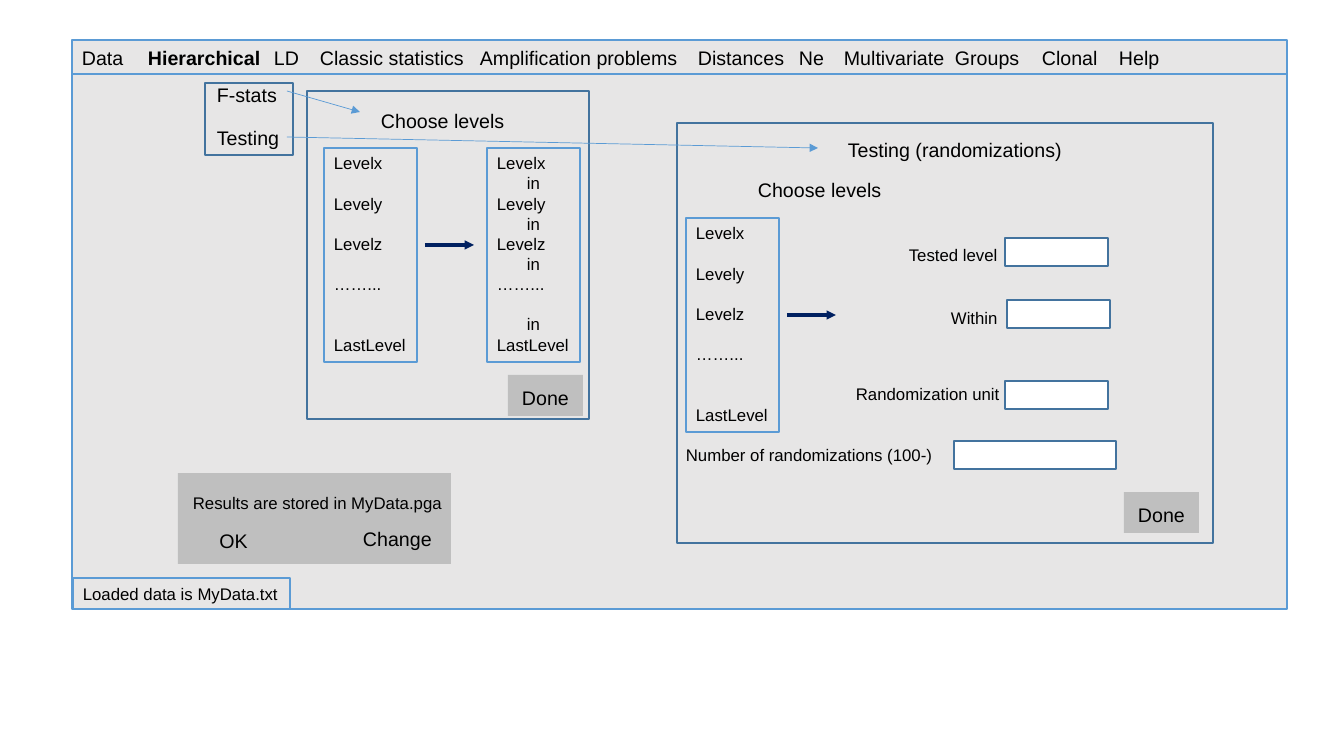
from dataclasses import dataclass
from typing import NamedTuple

from lxml.etree import SubElement
from pptx import Presentation
from pptx.dml.color import RGBColor
from pptx.enum.shapes import MSO_CONNECTOR as Connector, MSO_SHAPE as Preset
from pptx.enum.text import MSO_ANCHOR as Anchor, MSO_AUTO_SIZE as AutoSize, PP_ALIGN as Align
from pptx.oxml.ns import qn
from pptx.util import Emu, Pt

PX = 914400 / 100.8


@dataclass(frozen=True)
class Theme:
    """Colours, type sizes and line weights of the mock-up."""
    font: str = "Arial"
    ink: str = "000000"
    window: str = "E7E6E6"
    accent: str = "5B9BD5"
    frame: str = "43739E"
    button: str = "BFBFBF"
    field: str = "FFFFFF"
    move: str = "002060"
    large: float = 14
    small: float = 12
    row: float = 14.4


class Box(NamedTuple):
    """A rectangle in pixels."""
    left: int
    top: int
    width: int
    height: int


class Label(NamedTuple):
    """A piece of free-standing text."""
    text: str
    box: Box
    size: float
    bold: bool = False


class Row(NamedTuple):
    """A list entry, with the number of empty rows above it."""
    text: str
    gap: int = 0
    align: Align = Align.LEFT


class Link(NamedTuple):
    """A straight line in pixels."""
    x1: int
    y1: int
    x2: int
    y2: int
    color: str
    weight: float
    arrow: bool = True


THEME = Theme()
deck = Presentation()
deck.slide_width, deck.slide_height = Emu(12192000), Emu(6858000)
slide = deck.slides.add_slide(deck.slide_layouts[6])


def px(value: float) -> Emu:
    """Turn pixels into EMU."""
    return Emu(round(value * PX))


def style(paragraph, size: float, bold: bool = False) -> None:
    """Format the runs of a paragraph."""
    for run in paragraph.runs:
        run.font.name, run.font.size, run.font.bold = THEME.font, Pt(size), bold
        run.font.color.rgb = RGBColor.from_string(THEME.ink)


def draw_box(box: Box, fill: str = "", line: str = "", weight: float = 1):
    """Draw a rectangle; an empty colour means none."""
    shape = slide.shapes.add_shape(Preset.RECTANGLE, *map(px, box))
    shape.shadow.inherit = False
    if fill:
        shape.fill.solid()
        shape.fill.fore_color.rgb = RGBColor.from_string(fill)
    else:
        shape.fill.background()
    if line:
        shape.line.color.rgb = RGBColor.from_string(line)
        shape.line.width = Pt(weight)
    else:
        shape.line.fill.background()
    return shape


def draw_label(label: Label) -> None:
    """Draw text in a box that fits it."""
    frame = slide.shapes.add_textbox(*map(px, label.box)).text_frame
    frame.text = label.text
    frame.word_wrap = False
    frame.auto_size = AutoSize.SHAPE_TO_FIT_TEXT
    style(frame.paragraphs[0], label.size, label.bold)


def draw_button(text: str, left: int, top: int) -> None:
    """Draw a grey button with its caption."""
    frame = draw_box(Box(left, top, 75, 41), THEME.button).text_frame
    frame.text = text
    frame.word_wrap = False
    frame.vertical_anchor = Anchor.MIDDLE
    frame.margin_top, frame.margin_bottom = px(9), px(4)
    frame.paragraphs[0].alignment = Align.CENTER
    style(frame.paragraphs[0], THEME.large)


def draw_list(left: int, top: int, rows: list[Row]) -> None:
    """Draw a list of levels on a fixed row pitch."""
    frame = draw_box(Box(left, top, 93, 214), line=THEME.accent, weight=1.5).text_frame
    frame.text = "\n".join(row.text for row in rows)
    frame.word_wrap = False
    frame.vertical_anchor = Anchor.TOP
    for paragraph, row in zip(frame.paragraphs, rows):
        paragraph.alignment = row.align
        paragraph.line_spacing = Pt(THEME.row)
        paragraph.space_before = Pt(THEME.row * row.gap)
        style(paragraph, THEME.small)


def draw_link(link: Link) -> None:
    """Draw a line, with an arrowhead if asked for."""
    line = slide.shapes.add_connector(Connector.STRAIGHT, *map(px, link[:4]))
    line.line.color.rgb = RGBColor.from_string(link.color)
    line.line.width = Pt(link.weight)
    if link.arrow:
        SubElement(line.line._get_or_add_ln(), qn("a:tailEnd"), type="triangle")
    SubElement(line._element.spPr, qn("a:effectLst"))


MENU = [("Data", 72, 62), ("Hierarchical", 138, 133), ("LD", 264, 45),
        ("Classic statistics", 310, 165), ("Amplification problems", 470, 219),
        ("Distances", 688, 107), ("Ne", 789, 45), ("Multivariate", 834, 121),
        ("Groups", 945, 85), ("Clonal", 1032, 77), ("Help", 1109, 61)]
SELECTED = "Hierarchical"
LEVELS = [Row("Levelx"), Row("Levely", 1), Row("Levelz", 1), Row("……...", 1),
          Row("LastLevel", 2)]
NESTED = [Row("Levelx")]
for level in LEVELS[1:]:
    NESTED += [Row("in", level.gap - 1, Align.CENTER), Row(level.text)]
# The row of dots follows "Levelz in" and leaves one row free before the last "in".

FRAMES = [Box(307, 91, 282, 328), Box(677, 123, 536, 420), Box(205, 83, 88, 72)]
FIELDS = [Box(1005, 238, 103, 28), Box(1007, 300, 103, 28),
          Box(1005, 381, 103, 28), Box(954, 441, 162, 28)]
LABELS = [
    Label("Loaded data is MyData.txt", Box(73, 579, 217, 30), THEME.small),
    Label("F-stats", Box(207, 78, 81, 34), THEME.large),
    Label("Testing", Box(207, 121, 83, 34), THEME.large),
    Label("Choose levels", Box(371, 104, 144, 34), THEME.large),
    Label("Testing (randomizations)", Box(838, 133, 235, 34), THEME.large),
    Label("Choose levels", Box(748, 173, 144, 34), THEME.large),
    Label("Tested level", Box(899, 240, 110, 30), THEME.small),
    Label("Within", Box(941, 303, 68, 30), THEME.small),
    Label("Randomization unit", Box(846, 379, 165, 30), THEME.small),
    Label("Number of randomizations (100-)", Box(676, 440, 268, 30), THEME.small),
    Label("Results are stored in MyData.pga", Box(183, 488, 271, 30), THEME.small),
    *(Label(name, Box(left, 41, width, 34), THEME.large, name == SELECTED)
      for name, left, width in MENU),
]
BUTTONS = [("Done", 508, 375), ("Done", 1124, 492), ("OK", 196, 518), ("Change", 360, 516)]
LISTS = [(324, 148, LEVELS), (487, 148, NESTED), (686, 218, LEVELS)]
LINKS = [Link(72, 74, 1287, 74, THEME.accent, 1, False),
         Link(425, 245, 474, 245, THEME.move, 2.25),
         Link(787, 315, 836, 315, THEME.move, 2.25),
         Link(287, 91, 360, 112, THEME.accent, 0.5),
         Link(287, 137, 818, 148, THEME.accent, 0.5)]

draw_box(Box(72, 40, 1215, 569), THEME.window, THEME.accent)
draw_box(Box(73, 578, 217, 31), line=THEME.accent, weight=1.5)
draw_box(Box(178, 473, 273, 91), THEME.button)
for dialog in FRAMES:
    draw_box(dialog, line=THEME.frame)
for field in FIELDS:
    draw_box(field, THEME.field, THEME.frame)
for levels in LISTS:
    draw_list(*levels)
for button in BUTTONS:
    draw_button(*button)
for caption in LABELS:
    draw_label(caption)
for link in LINKS:
    draw_link(link)

deck.save("out.pptx")
